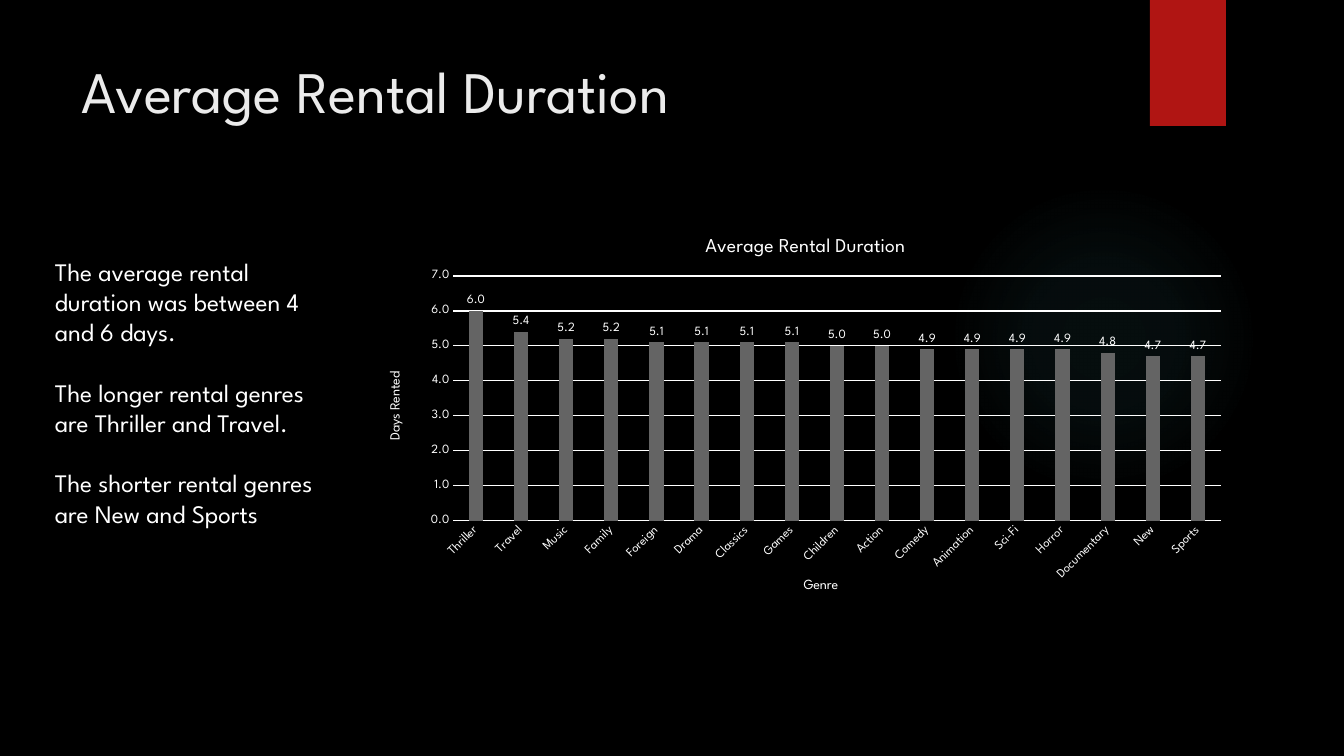
from lxml.etree import SubElement
from pptx import Presentation
from pptx.chart.data import CategoryChartData
from pptx.dml.color import RGBColor
from pptx.enum.chart import XL_CHART_TYPE, XL_LABEL_POSITION, XL_TICK_MARK
from pptx.enum.shapes import MSO_SHAPE
from pptx.oxml import parse_xml
from pptx.oxml.ns import nsdecls, qn
from pptx.util import Emu, Pt

EMU_PER_PX = 914400 / 100.8
FONT = "League Spartan"
WHITE = "FFFFFF"
TITLE = "Average Rental Duration"
FINDINGS = [
    "The average rental duration was between 4 and 6 days.",
    "The longer rental genres are Thriller and Travel.",
    "The shorter rental genres are New and Sports",
]
DAYS_BY_GENRE = {
    "Thriller": 6.0, "Travel": 5.4, "Music": 5.2, "Family": 5.2,
    "Foreign": 5.1, "Drama": 5.1, "Classics": 5.1, "Games": 5.1,
    "Children": 5.0, "Action": 5.0, "Comedy": 4.9, "Animation": 4.9,
    "Sci-Fi": 4.9, "Horror": 4.9, "Documentary": 4.8, "New": 4.7, "Sports": 4.7,
}


def color(value):
    """Return the colour for a hex string."""
    return RGBColor.from_string(value)


def px(*lengths):
    """Turn pixel lengths into EMU."""
    return [Emu(round(length * EMU_PER_PX)) for length in lengths]


class SlideBuilder:
    """Holds the text style and the current slide."""

    def __init__(self, presentation, font, text_color):
        """Add a blank slide with a black background."""
        self.font, self.text_color = font, text_color
        self.slide = presentation.slides.add_slide(presentation.slide_layouts[6])
        fill = self.slide.background.fill
        fill.solid()
        fill.fore_color.rgb = color("000000")

    def style(self, font, size, text_color=None):
        """Apply the typeface, size and colour to a font."""
        font.name, font.size, font.bold = self.font, Pt(size), False
        font.color.rgb = color(text_color or self.text_color)

    def shape(self, kind, box, fill_color):
        """Add a solid shape without outline."""
        shape = self.slide.shapes.add_shape(kind, *px(*box))
        shape.shadow.inherit = False
        shape.fill.solid()
        shape.fill.fore_color.rgb = color(fill_color)
        shape.line.fill.background()
        return shape

    def glow(self, box, glow_color, stops):
        """Add a circle that fades out from its centre."""
        shape = self.shape(MSO_SHAPE.OVAL, box, glow_color)
        stop_xml = "".join(
            f'<a:gs pos="{position * 1000}"><a:srgbClr val="{glow_color}">'
            f'<a:alpha val="{alpha * 1000}"/></a:srgbClr></a:gs>'
            for position, alpha in stops
        )
        gradient = parse_xml(
            f'<a:gradFill {nsdecls("a")}><a:gsLst>{stop_xml}</a:gsLst>'
            '<a:path path="circle"><a:fillToRect l="50000" t="50000" r="50000" b="50000"/>'
            "</a:path></a:gradFill>"
        )
        properties = shape.element.spPr
        properties.replace(properties.find(qn("a:solidFill")), gradient)

    def text(self, box, paragraphs, size, text_color=None, gap=0):
        """Add a wrapping text box with evenly spaced paragraphs."""
        frame = self.slide.shapes.add_textbox(*px(*box)).text_frame
        frame.word_wrap = True
        frame.text = "\n".join(paragraphs)
        for paragraph in frame.paragraphs:
            self.style(paragraph.runs[0].font, size, text_color)
        for paragraph in frame.paragraphs[:-1]:
            paragraph.space_after = Pt(gap)

    def place(self, element, index, **fractions):
        """Give a chart part a manual layout."""
        for layout in element.findall(qn("c:layout")):
            element.remove(layout)
        layout = element.makeelement(qn("c:layout"))
        manual = SubElement(layout, qn("c:manualLayout"))
        if "w" in fractions:
            SubElement(manual, qn("c:layoutTarget"), val="inner")
        for key in "xy":
            SubElement(manual, qn(f"c:{key}Mode"), val="edge")
        for key, fraction in fractions.items():
            SubElement(manual, qn(f"c:{key}"), val=str(fraction))
        element.insert(index, layout)

    def axis(self, axis, title, rotation, x, y):
        """Format an axis and place its title."""
        axis.major_tick_mark = axis.minor_tick_mark = XL_TICK_MARK.NONE
        self.style(axis.tick_labels.font, 9)
        frame = axis.axis_title.text_frame
        frame.text = title
        self.style(frame.paragraphs[0].runs[0].font, 10)
        title_element = axis.axis_title._element
        title_element.find(".//" + qn("a:bodyPr")).set("rot", str(rotation * 60000))
        self.place(title_element, 1, x=x, y=y)

    def line(self, line):
        """Format a thin chart line."""
        line.color.rgb = color(self.text_color)
        line.width = Pt(0.75)

    def column_chart(self, box, title, values, bar_color):
        """Add a column chart with value labels."""
        data = CategoryChartData(number_format="0.0")
        data.categories = list(values)
        data.add_series(title, list(values.values()))
        chart = self.slide.shapes.add_chart(
            XL_CHART_TYPE.COLUMN_CLUSTERED, *px(*box), data
        ).chart
        self.style(chart.font, 10)
        chart.has_legend = False
        chart.chart_title.text_frame.text = title
        self.style(chart.chart_title.text_frame.paragraphs[0].runs[0].font, 14)

        genres, days = chart.category_axis, chart.value_axis
        self.axis(genres, "Genre", 0, 0.495, 0.875)
        self.axis(days, "Days Rented", -90, 0.014, 0.368)
        genres.has_major_gridlines = False
        self.line(genres.format.line)
        labels = genres._element.find(qn("c:txPr"))
        labels.find(qn("a:bodyPr")).set("rot", str(-45 * 60000))
        days.minimum_scale, days.maximum_scale, days.major_unit = 0, 7, 1
        days.tick_labels.number_format = "0.0"
        days.tick_labels.number_format_is_linked = False
        days.format.line.fill.background()
        self.line(days.major_gridlines.format.line)

        plot = chart.plots[0]
        plot.vary_by_categories = False
        plot.gap_width, plot.overlap = 219, -27
        fill = plot.series[0].format.fill
        fill.solid()
        fill.fore_color.rgb = color(bar_color)
        plot.has_data_labels = True
        labels = plot.data_labels
        labels.show_value = True
        labels.position = XL_LABEL_POSITION.OUTSIDE_END
        labels.number_format, labels.number_format_is_linked = "0.0", False
        self.style(labels.font, 9)
        plot_area = genres._element.getparent()
        self.place(plot_area, 0, x=0.092, y=0.14, w=0.889, h=0.6)


def main():
    """Build and save the rental duration slide."""
    presentation = Presentation()
    presentation.slide_width, presentation.slide_height = px(1344, 756)
    builder = SlideBuilder(presentation, FONT, WHITE)
    builder.glow((949, 184, 310, 310), "50B9C1", [(0, 7), (36, 6), (69, 0), (100, 0)])
    builder.shape(MSO_SHAPE.RECTANGLE, (1150, 0, 76, 126), "B01513")
    builder.text((72, 50, 1037, 154), [TITLE], 42, "EBEBEB")
    builder.column_chart((374, 219, 863, 408), TITLE, DAYS_BY_GENRE, "646464")
    builder.text((45, 251, 283, 377), FINDINGS, 18, gap=21.6)
    presentation.save("out.pptx")


if __name__ == "__main__":
    main()
